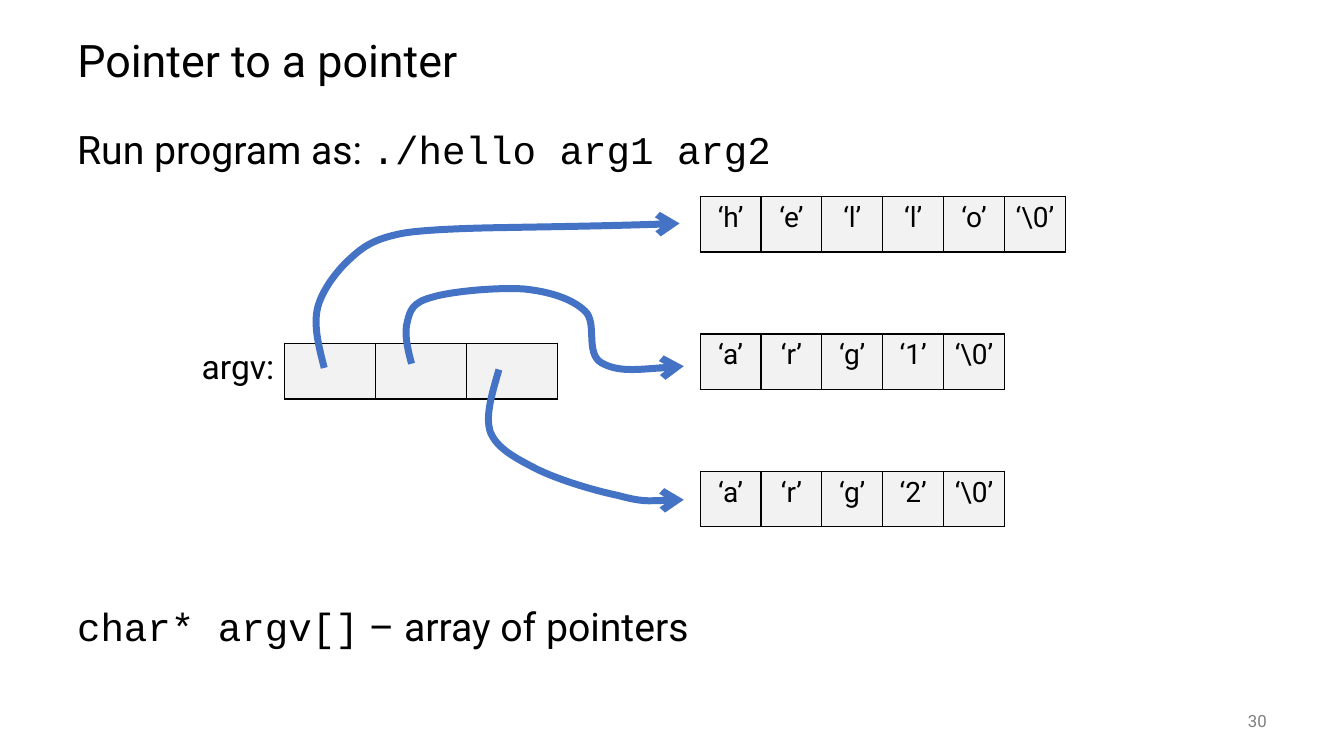
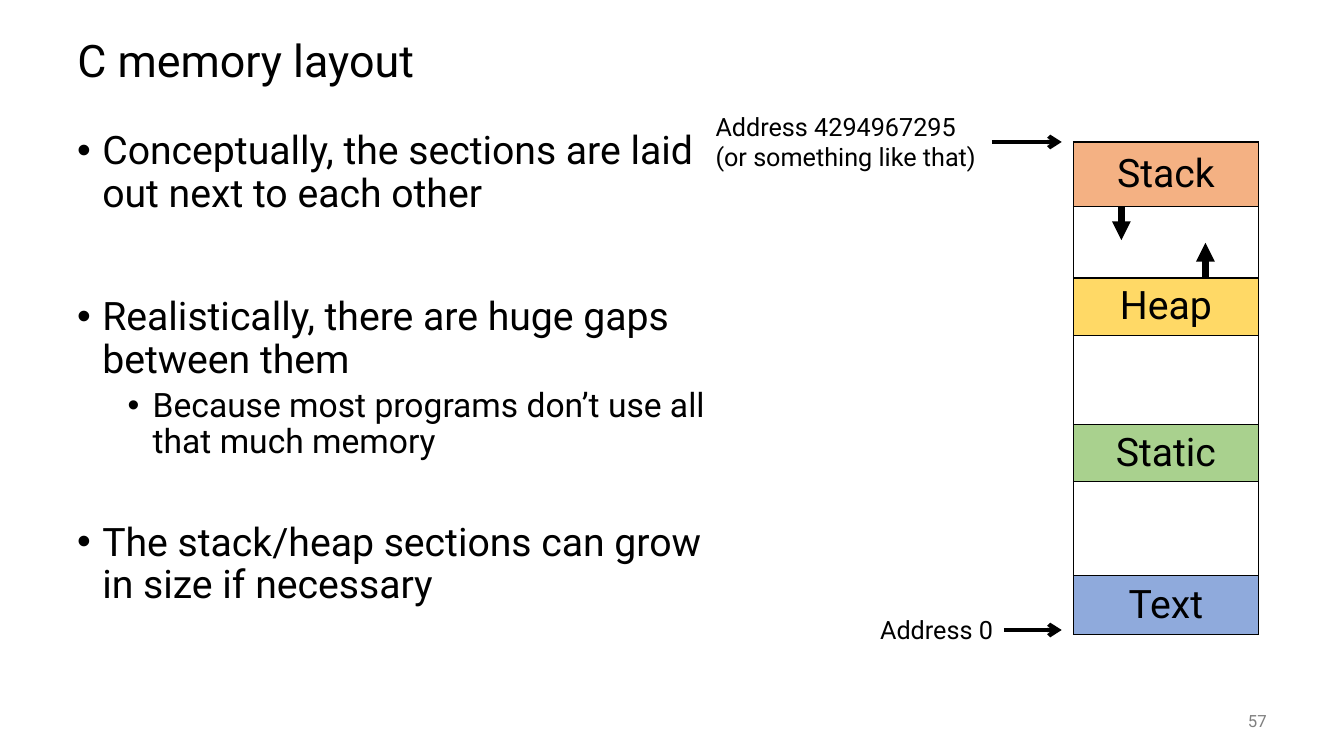
from dataclasses import dataclass

from lxml import etree
from pptx import Presentation
from pptx.dml.color import RGBColor
from pptx.enum.shapes import MSO_CONNECTOR
from pptx.enum.text import MSO_ANCHOR, MSO_AUTO_SIZE, PP_ALIGN
from pptx.oxml.ns import qn
from pptx.slide import Slide
from pptx.table import _Cell
from pptx.text.text import TextFrame
from pptx.util import Pt

STRAIGHT = MSO_CONNECTOR.STRAIGHT
TOP, MIDDLE = MSO_ANCHOR.TOP, MSO_ANCHOR.MIDDLE
FIXED = MSO_AUTO_SIZE.NONE
LEFT, CENTER, RIGHT = PP_ALIGN.LEFT, PP_ALIGN.CENTER, PP_ALIGN.RIGHT

UNIT = 76200
COLS, ROWS = 160, 90
TITLE_ONLY = 5
PLAIN_GRID = "{2D5ABB26-0587-4C30-8999-92F81FD0307C}"

Point = tuple[float, float]


@dataclass(frozen=True)
class Theme:
    font: str = "Roboto"
    mono: str = "Courier New"
    ink: str = "000000"
    gray: str = "808080"
    pale: str = "F2F2F2"
    blue: str = "4472C4"
    stack: str = "F4B183"
    heap: str = "FFD966"
    static: str = "A9D18E"
    text: str = "8FAADC"
    title: float = 32
    body: float = 28
    sub: float = 24
    cell: float = 20
    note: float = 18
    foot: float = 12
    edge: float = 1
    tight: float = 0.9


THEME = Theme()


@dataclass(frozen=True)
class Box:
    x: float
    y: float
    w: float
    h: float

    def emu(self) -> tuple[int, int, int, int]:
        return grid(self.x), grid(self.y), grid(self.w), grid(self.h)


@dataclass(frozen=True)
class Span:
    text: str
    mono: bool = False


@dataclass(frozen=True)
class Line:
    spans: tuple[Span, ...]
    size: float = THEME.body
    color: str = THEME.ink
    align: PP_ALIGN = LEFT
    pitch: float = 1
    before: float = 0
    indent: float = 0


@dataclass(frozen=True)
class Array:
    x: float
    y: float
    label: str
    head: float
    step: float
    items: tuple[str, ...]


@dataclass(frozen=True)
class Band:
    height: float
    name: str = ""
    fill: str = ""


@dataclass(frozen=True)
class Arrow:
    start: Point
    end: Point
    width: float
    tip: str


@dataclass(frozen=True)
class Note:
    box: Box
    text: str
    align: PP_ALIGN


TITLE = Box(8, 3, 144, 9)
BODY = Box(8, 15, 144, 66)
HALF = Box(8, 15, 77.6, 66)
FOOT = Box(140, 83.4, 12, 4.8)

WORDS = (
    ("‘h’", "‘e’", "‘l’", "‘l’", "‘o’", "‘\\0’"),
    ("‘a’", "‘r’", "‘g’", "‘1’", "‘\\0’"),
    ("‘a’", "‘r’", "‘g’", "‘2’", "‘\\0’"),
)
ARRAYS = tuple(
    Array(80, 23.4 + 16.35 * row, "", 3.35, 7.25, word)
    for row, word in enumerate(WORDS)
) + (Array(16.1, 40.9, "argv:", 17.75, 10.85, ("", "", "")),)
DEPTH = 6.6

CURVES: tuple[tuple[Point, ...], ...] = (
    (
        (38.6, 43.8),
        (38, 41.4), (37.3, 38.9), (37.8, 36.7),
        (38.3, 34.6), (40.1, 32.2), (41.8, 30.7),
        (43.4, 29.2), (44.8, 28.4), (47.8, 27.8),
        (50.8, 27.2), (59.8, 27.1), (59.8, 27.1),
        (65.3, 27), (73.1, 26.9), (80.9, 26.6),
    ),
    (
        (49, 43.3),
        (48.5, 41.5), (48.1, 39.6), (48.5, 38.3),
        (48.8, 37), (49.1, 36), (51.4, 35.4),
        (53.6, 34.7), (59.2, 34.2), (62.3, 34.4),
        (65.3, 34.7), (68, 35.5), (69.6, 37),
        (71.2, 38.4), (69.6, 42), (71.6, 43.2),
        (73.6, 44.3), (77.4, 43.9), (81.4, 43.6),
    ),
    (
        (59.4, 44),
        (58.6, 46.8), (57.7, 49.6), (58.4, 51.5),
        (59.2, 53.4), (61.3, 54.5), (63.8, 55.8),
        (66.4, 57.1), (70.7, 58.4), (73.6, 59),
        (76.6, 59.8), (79, 59.6), (81.4, 59.5),
    ),
)

BANDS = (
    Band(7.7, "Stack", THEME.stack),
    Band(8.5),
    Band(6.7, "Heap", THEME.heap),
    Band(10.6),
    Band(6.7, "Static", THEME.static),
    Band(11.2),
    Band(7, "Text", THEME.text),
)
ARROWS = (
    Arrow((133.5, 24.5), (133.5, 28.6), 4.5, "triangle"),
    Arrow((143.5, 33), (143.5, 28.9), 4.5, "triangle"),
    Arrow((119.5, 75), (126.4, 75), 3, "arrow"),
    Arrow((118.1, 16.9), (126.4, 16.9), 3, "arrow"),
)
NOTES = (
    Note(Box(87, 72.6, 32.4, 4.8), "Address 0", RIGHT),
    Note(Box(84, 12.6, 34, 8.5),
         "Address 4294967295\n(or something like that)", LEFT),
)


def grid(units: float) -> int:
    return round(units * UNIT)


def rgb(color: str) -> RGBColor:
    return RGBColor.from_string(color)


def write(frame: TextFrame, *lines: Line) -> None:
    for pos, line in enumerate(lines):
        para = frame.add_paragraph() if pos else frame.paragraphs[0]
        para.alignment = line.align
        para.line_spacing = line.pitch
        para.space_before = Pt(line.before)
        if line.indent:
            props = para._p.get_or_add_pPr()
            props.set("marL", str(grid(line.indent)))
            props.set("indent", str(grid(-3)))
            font = etree.SubElement(props, qn("a:buFont"))
            font.set("typeface", "Arial")
            etree.SubElement(props, qn("a:buChar")).set("char", "•")
        para.font.name = THEME.font
        para.font.size = Pt(line.size)
        para.font.color.rgb = rgb(line.color)
        if len(line.spans) == 1:
            para.text = line.spans[0].text
            continue
        for span in line.spans:
            run = para.add_run()
            run.text = span.text
            if span.mono:
                run.font.name = THEME.mono


def add_text(slide: Slide, box: Box, *lines: Line,
             anchor: MSO_ANCHOR = TOP) -> None:
    frame = slide.shapes.add_textbox(*box.emu()).text_frame
    frame.word_wrap = True
    frame.vertical_anchor = anchor
    write(frame, *lines)


def add_slide(deck: Presentation, title: str, page: str) -> Slide:
    slide = deck.slides.add_slide(deck.slide_layouts[TITLE_ONLY])
    head = slide.shapes.title
    head.left, head.top, head.width, head.height = TITLE.emu()
    head.text_frame.auto_size = FIXED
    head.text_frame.vertical_anchor = MIDDLE
    write(head.text_frame,
          Line((Span(title),), THEME.title, pitch=THEME.tight))
    add_text(slide, FOOT,
             Line((Span(page),), THEME.foot, THEME.gray, RIGHT),
             anchor=MIDDLE)
    return slide


def add_table(slide: Slide, x: float, y: float,
              widths: list[float], heights: list[float]):
    box = Box(x, y, sum(widths), sum(heights))
    table = slide.shapes.add_table(
        len(heights), len(widths), *box.emu()).table
    table.first_row = table.horz_banding = False
    table._tbl.tblPr.find(qn("a:tableStyleId")).text = PLAIN_GRID
    for col, width in zip(table.columns, widths):
        col.width = grid(width)
    for row, height in zip(table.rows, heights):
        row.height = grid(height)
    return table


def set_cell(cell: _Cell, line: Line, fill: str, sides: str = "LRTB") -> None:
    props = cell._tc.get_or_add_tcPr()
    for side in sides:
        edge = etree.SubElement(props, qn(f"a:ln{side}"))
        edge.set("w", str(Pt(THEME.edge)))
        solid = etree.SubElement(edge, qn("a:solidFill"))
        etree.SubElement(solid, qn("a:srgbClr")).set("val", THEME.ink)
    if fill:
        cell.fill.solid()
        cell.fill.fore_color.rgb = rgb(fill)
    else:
        cell.fill.background()
    if line.spans[0].text:
        write(cell.text_frame, line)


def add_array(slide: Slide, array: Array) -> None:
    widths = [array.head] + [array.step] * len(array.items)
    table = add_table(slide, array.x, array.y, widths, [DEPTH])
    label = Line((Span(array.label),), THEME.sub, align=RIGHT)
    set_cell(table.cell(0, 0), label, "", "R")
    for col, item in enumerate(array.items, 1):
        line = Line((Span(item),), THEME.cell, align=CENTER)
        set_cell(table.cell(0, col), line, THEME.pale)


def set_line(shape, color: str, width: float, tip: str) -> None:
    shape.line.color.rgb = rgb(color)
    shape.line.width = Pt(width)
    tail = etree.SubElement(shape.line._get_or_add_ln(), qn("a:tailEnd"))
    tail.set("type", tip)


def add_curve(slide: Slide, points: tuple[Point, ...]) -> None:
    spots = [(grid(x), grid(y)) for x, y in points]
    pen = slide.shapes.build_freeform(*spots[0])
    pen.add_line_segments(spots[1:], close=False)
    shape = pen.convert_to_shape()
    route = shape._element.find(".//" + qn("a:path"))
    legs = route.findall(qn("a:lnTo"))
    for pos in range(0, len(legs), 3):
        bend = etree.SubElement(route, qn("a:cubicBezTo"))
        for leg in legs[pos:pos + 3]:
            bend.append(leg[0])
            route.remove(leg)
    shape.shadow.inherit = False
    shape.fill.background()
    set_line(shape, THEME.blue, 5, "arrow")


def add_arrow(slide: Slide, arrow: Arrow) -> None:
    ends = [grid(v) for v in arrow.start + arrow.end]
    link = slide.shapes.add_connector(STRAIGHT, *ends)
    set_line(link, THEME.ink, arrow.width, arrow.tip)
    etree.SubElement(link._element.spPr, qn("a:effectLst"))


def draw_args(deck: Presentation) -> None:
    slide = add_slide(deck, "Pointer to a pointer", "30")
    run = (Span("Run program as: "), Span("./hello arg1 arg2", True))
    decl = (Span("char* argv[]", True), Span(" – array of pointers"))
    add_text(slide, BODY, Line(run, pitch=THEME.tight),
             Line(decl, pitch=THEME.tight, before=310))
    for array in ARRAYS:
        add_array(slide, array)
    for curve in CURVES:
        add_curve(slide, curve)


def draw_map(deck: Presentation) -> None:
    slide = add_slide(deck, "C memory layout", "57")
    points = (
        ("Conceptually, the sections are laid out next to each other",
         THEME.body, 0, 3),
        ("Realistically, there are huge gaps between them",
         THEME.body, 58, 3),
        ("Because most programs don’t use all that much memory",
         THEME.sub, 5, 9),
        ("The stack/heap sections can grow in size if necessary",
         THEME.body, 44, 3),
    )
    add_text(slide, HALF, *(
        Line((Span(text),), size, pitch=THEME.tight, before=gap, indent=dent)
        for text, size, gap, dent in points))
    table = add_table(slide, 127.8, 16.9, [22], [b.height for b in BANDS])
    for row, band in enumerate(BANDS):
        cell = table.cell(row, 0)
        cell.vertical_anchor = MIDDLE
        set_cell(cell, Line((Span(band.name),), align=CENTER), band.fill)
    for arrow in ARROWS:
        add_arrow(slide, arrow)
    for note in NOTES:
        add_text(slide, note.box,
                 Line((Span(note.text),), THEME.note, align=note.align))


def main() -> None:
    deck = Presentation()
    deck.slide_width, deck.slide_height = grid(COLS), grid(ROWS)
    draw_args(deck)
    draw_map(deck)
    deck.save("out.pptx")


if __name__ == "__main__":
    main()
